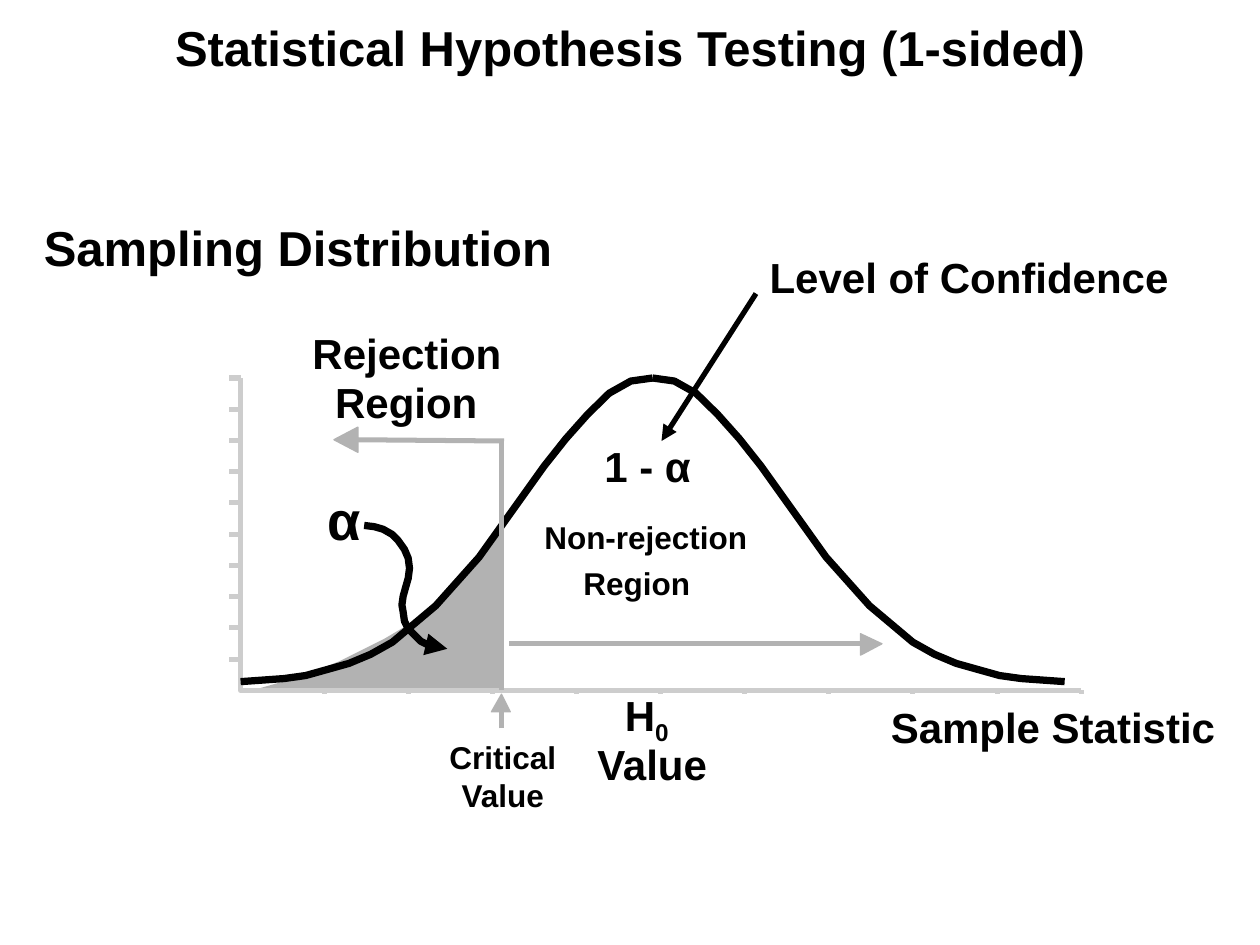
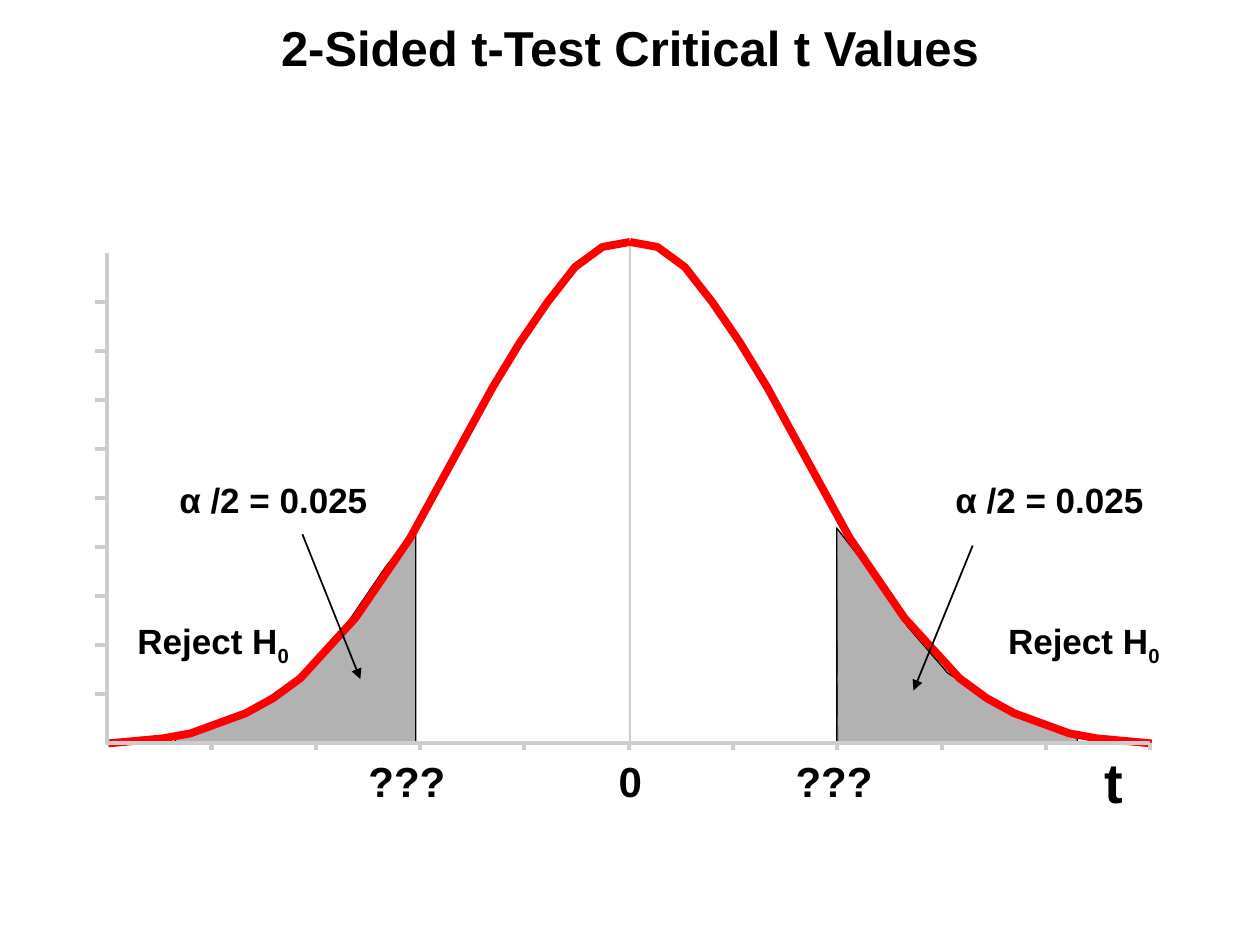
"""Build two slides on one-sided and two-sided hypothesis tests."""
from lxml import etree
from pptx import Presentation
from pptx.dml.color import RGBColor
from pptx.enum.shapes import MSO_CONNECTOR
from pptx.enum.text import MSO_ANCHOR, PP_ALIGN
from pptx.oxml.ns import qn
from pptx.util import Inches, Pt

STRAIGHT = MSO_CONNECTOR.STRAIGHT
MIDDLE = MSO_ANCHOR.MIDDLE
LEFT, CENTER = PP_ALIGN.LEFT, PP_ALIGN.CENTER
FONT = "Arial"
COLORS = {"ink": "000000", "axis": "CDCDCD", "region": "B2B2B2", "curve": "FF0000"}

BELL_STEPS = [0, 2, 3, 4, 5, 6, 7, 9, 11, 13, 14, 15, 16, 17, 18, 19]
BELL_HEIGHTS = [0, 0.01, 0.02, 0.04, 0.06, 0.09, 0.13, 0.25,
                0.41, 0.61, 0.71, 0.8, 0.88, 0.95, 0.99, 1]


def draw(slide, points, color=None, width=0.75, fill=None, arrow=False):
    """Draw a straight line through two points or an outline through more."""
    places = [(Inches(x), Inches(y)) for x, y in points]
    if len(places) == 2:
        shape = slide.shapes.add_connector(STRAIGHT, *places[0], *places[1])
        etree.SubElement(shape._element.spPr, qn("a:effectLst"))
    else:
        builder = slide.shapes.build_freeform(*places[0])
        builder.add_line_segments(places[1:], close=fill is not None)
        shape = builder.convert_to_shape()
        shape.shadow.inherit = False
        if fill:
            shape.fill.solid()
            shape.fill.fore_color.rgb = RGBColor.from_string(COLORS[fill])
        else:
            shape.fill.background()
    if color:
        shape.line.color.rgb = RGBColor.from_string(COLORS[color])
        shape.line.width = Pt(width)
    else:
        shape.line.fill.background()
    if arrow:
        etree.SubElement(shape.line._get_or_add_ln(), qn("a:tailEnd"), type="triangle")


def add_text(slide, text, box, size, align=LEFT, padded=False):
    """Add a bold label; what follows an underscore is set as a subscript."""
    frame = slide.shapes.add_textbox(*map(Inches, box)).text_frame
    frame.word_wrap = True
    frame.margin_left = frame.margin_right = Inches(0.1 if padded else 0)
    frame.margin_top = frame.margin_bottom = Inches(0.05 if padded else 0)
    paragraph = frame.paragraphs[0]
    paragraph.alignment = align
    paragraph.font.name = FONT
    paragraph.font.size = Pt(size)
    paragraph.font.bold = True
    paragraph.font.color.rgb = RGBColor.from_string(COLORS["ink"])
    base, _, subscript = text.partition("_")
    paragraph.add_run().text = base
    if subscript:
        run = paragraph.add_run()
        run.text = subscript
        run._r.get_or_add_rPr().set("baseline", "-25000")
    return frame


one_sided_region = [
    (3.98, 4.22), (3.98, 5.46), (2.07, 5.46), (2.28, 5.4), (2.49, 5.33),
    (2.69, 5.25), (2.87, 5.16), (3.05, 5.07), (3.22, 4.97), (3.38, 4.86),
    (3.52, 4.74), (3.66, 4.62), (3.78, 4.49), (3.89, 4.35)]
left_tail = [(1.39, 5.86), (2.02, 5.61), (2.42, 5.34), (2.74, 4.97),
             (3.06, 4.5), (3.3, 4.19), (3.3, 5.89), (1.39, 5.89)]
right_tail = [(9.94 - x, y) for x, y in left_tail]

plots = [
    {"title": "Statistical Hypothesis Testing (1-sided)",
     "left": 1.91, "right": 8.58, "top": 3, "base": 5.48, "axis_width": 2.86,
     "tick_out": 0.09, "tick_down": 0.03, "y_ticks": range(10), "y_gap": 0.248,
     "center": 5.18, "half": 3.27, "peak": 3, "foot": 5.41,
     "curve_color": "ink", "curve_width": 4.14, "axis_in_front": False,
     "regions": [one_sided_region], "region_line": None, "guides": []},
    {"title": "2-Sided t-Test Critical t Values",
     "left": 0.85, "right": 9.13, "top": 2.01, "base": 5.9, "axis_width": 2.38,
     "tick_out": 0.1, "tick_down": 0.05, "y_ticks": range(1, 10), "y_gap": 0.389,
     "center": 5, "half": 4.14, "peak": 1.92, "foot": 5.9,
     "curve_color": "curve", "curve_width": 4.5, "axis_in_front": True,
     "regions": [left_tail, right_tail], "region_line": "ink",
     "guides": [([(5, 1.95), (5, 5.9)], "axis", 1.39),
                ([(6.64, 4.19), (6.65, 5.93)], "ink", 0.25)]},
]

presentation = Presentation()
presentation.slide_width, presentation.slide_height = Inches(10), Inches(7.5)

for plot in plots:
    slide = presentation.slides.add_slide(presentation.slide_layouts[6])
    title_frame = add_text(slide, plot["title"], (0, 0, 10, 0.75), 28, CENTER, True)
    title_frame.vertical_anchor = MIDDLE

    left, right, top, base = (plot[key] for key in ("left", "right", "top", "base"))
    axis_paths = [[(left, top), (left, base), (right, base)]]
    for tick in plot["y_ticks"]:
        y = top + tick * plot["y_gap"]
        axis_paths.append([(left - plot["tick_out"], y), (left, y)])
    for tick in range(1, 11):
        x = left + tick * (right - left) / 10
        axis_paths.append([(x, base), (x, base + plot["tick_down"])])
    axis = [(points, "axis", plot["axis_width"]) for points in axis_paths]

    bell = []
    for side in (1, -1):
        points = [(plot["center"] + side * plot["half"] * (1 - step / 19),
                   plot["foot"] - height * (plot["foot"] - plot["peak"]))
                  for step, height in zip(BELL_STEPS, BELL_HEIGHTS)]
        bell.append((points, plot["curve_color"], plot["curve_width"]))

    for region in plot["regions"]:
        draw(slide, region, plot["region_line"], fill="region")
    strokes = bell + axis if plot["axis_in_front"] else axis + bell
    for points, color, width in plot["guides"] + strokes:
        draw(slide, points, color, width)

one_sided, two_sided = presentation.slides

region_arrows = [
    ([(3.98, 5.78), (3.98, 5.63)], [(3.9, 5.65), (3.98, 5.51), (4.05, 5.65)]),
    ([(2.8, 3.49), (4, 3.5)], [(2.84, 3.59), (2.65, 3.49), (2.84, 3.39)]),
    ([(4.04, 5.11), (6.85, 5.11)], [(6.83, 5.03), (7, 5.11), (6.83, 5.2)]),
]
for shaft, head in region_arrows:
    draw(one_sided, shaft, "region", 2.86)
    draw(one_sided, head, "region", fill="region")
draw(one_sided, [(3.98, 5.48), (3.98, 3.49)], "region", 2.86)

alpha_pointer = [
    (2.89, 4.17), (2.97, 4.18), (3.04, 4.2), (3.11, 4.24), (3.16, 4.29),
    (3.21, 4.36), (3.24, 4.43), (3.25, 4.51), (3.24, 4.59), (3.22, 4.66),
    (3.2, 4.73), (3.19, 4.8), (3.2, 4.86), (3.21, 4.93), (3.24, 4.99),
    (3.29, 5.04), (3.34, 5.09), (3.4, 5.12)]
draw(one_sided, alpha_pointer, "ink", 4.14)
draw(one_sided, [(3.4, 5.03), (3.55, 5.15), (3.36, 5.2)], fill="ink")
draw(one_sided, [(6, 2.33), (5.25, 3.5)], "ink", 3, arrow=True)

one_sided_labels = [
    ("H_0", (4.96, 5.47, 0.4, 0.46), 24),
    ("Value", (4.74, 5.86, 0.95, 0.4), 24),
    ("α", (2.6, 3.86, 0.3, 0.52), 31),
    ("Sample Statistic", (7.07, 5.57, 2.7, 0.4), 24),
    ("Rejection", (2.48, 2.6, 1.6, 0.4), 24),
    ("Region", (2.66, 2.99, 1.2, 0.4), 24),
    ("Non-rejection", (4.32, 4.11, 1.75, 0.3), 18),
    ("Region", (4.63, 4.48, 0.95, 0.3), 18),
    ("Sampling Distribution", (0.2, 1.68, 4.33, 0.56), 28, CENTER, True),
    ("1 - α", (4.31, 3.45, 1.66, 0.5), 24, CENTER, True),
    ("Level of Confidence", (6.01, 1.95, 3.44, 0.5), 24, LEFT, True),
    ("Critical Value", (3.42, 5.86, 1.14, 0.6), 18, CENTER),
]
for label in one_sided_labels:
    add_text(one_sided, *label)

add_text(two_sided, "t", (8.77, 5.93, 0.2, 0.53), 32)
add_text(two_sided, "0", (4.91, 6, 0.22, 0.4), 24)
tails = [(2.88, 1.17, 1.09, (2.4, 4.24), (2.86, 5.39)),
         (6.27, 7.33, 8, (7.72, 4.33), (7.25, 5.48))]
for critical_left, alpha_left, reject_left, arrow_start, arrow_end in tails:
    add_text(two_sided, "???", (critical_left, 6, 0.7, 0.4), 24, CENTER)
    add_text(two_sided, "α /2 = 0.025", (alpha_left, 3.75, 2, 0.44), 20, CENTER, True)
    add_text(two_sided, "Reject H_0", (reject_left, 4.92, 1.35, 0.38), 20)
    draw(two_sided, [arrow_start, arrow_end], "ink", 1, arrow=True)

presentation.save("out.pptx")
